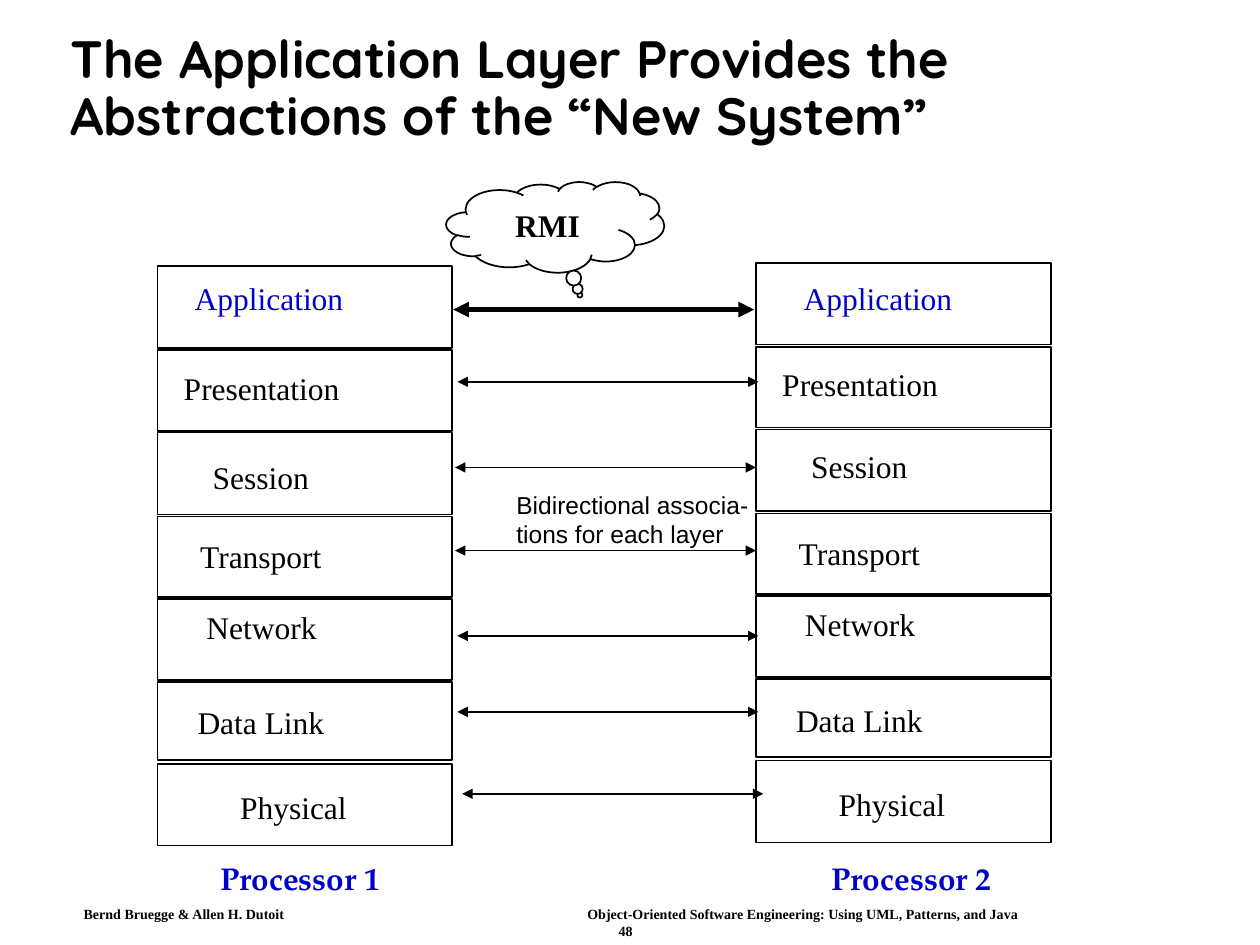
"""Build a slide showing two processors linked layer by layer."""
from collections import namedtuple

import pptx
import pptx.dml.color
import pptx.enum.shapes
import pptx.enum.text
import pptx.oxml.ns
import pptx.util
from lxml import etree

Pt = pptx.util.Pt
ALIGN = pptx.enum.text.PP_ALIGN
MIDDLE = pptx.enum.text.MSO_ANCHOR.MIDDLE
SHAPES = pptx.enum.shapes.MSO_SHAPE
COLORS = {"ink": "000000", "accent": "0000CC", "paper": "FFFFFF"}
SERIF = "Times New Roman"

STACK_LEFTS = (90, 432)
STACK_RISES = (0, 1.8)
LAYER_WIDTH = 168.5
LINK_LENGTH = 172
Layer = namedtuple("Layer", "name top height indents label_tops label_width link_left link_y color weight")
LAYERS = [
    Layer("Application", 151.9, 46.8, (14.2, 20.2), (156, 156), 160, 259, 176.9, "accent", 3),
    Layer("Presentation", 200, 46.2, (7.9, 7.9), (207.4, 205.2), 106, 261.4, 218.2, "ink", 1),
    Layer("Session", 247.2, 46.8, (24.5, 24.5), (258, 252), 72, 260, 267.1, "ink", 1),
    Layer("Transport", 295.2, 46.2, (17.3, 17.3), (303.1, 301.7), 87, 260, 314.6, "ink", 1),
    Layer("Network", 342.4, 46.2, (20.9, 20.9), (343.9, 342), 80, 261.4, 363.4, "ink", 1),
    Layer("Data Link", 389.9, 44.6, (15.8, 15.8), (398.2, 397.1), 90, 261.4, 406.8, "ink", 1),
    Layer("Physical", 436.4, 46.8, (40.1, 40.1), (446.6, 444.8), 78, 264.2, 453.6, "ink", 1),
]


def rgb(name):
    """Return the named colour."""
    return pptx.dml.color.RGBColor.from_string(COLORS[name])


def add_run(paragraph, words, size, font=SERIF, color="ink", bold=False):
    """Append one formatted run."""
    run = paragraph.add_run()
    run.text = words
    run.font.size = Pt(size)
    run.font.name = font
    run.font.bold = bold
    run.font.color.rgb = rgb(color)


def add_frame(slide, left, top, width, height):
    """Add an empty wrapping text box and return its text frame."""
    frame = slide.shapes.add_textbox(Pt(left), Pt(top), Pt(width), Pt(height)).text_frame
    frame.word_wrap = True
    return frame


def add_label(slide, words, left, top, width, size=18, height=29, **style):
    """Add a one-run text box and return its text frame."""
    frame = add_frame(slide, left, top, width, height)
    add_run(frame.paragraphs[0], words, size, **style)
    return frame


def add_outline(slide, kind, left, top, width, height, fill=None):
    """Add a preset shape with a thin dark outline."""
    shape = slide.shapes.add_shape(kind, Pt(left), Pt(top), Pt(width), Pt(height))
    shape.shadow.inherit = False
    if fill:
        shape.fill.solid()
        shape.fill.fore_color.rgb = rgb(fill)
    else:
        shape.fill.background()
    shape.line.color.rgb = rgb("ink")
    shape.line.width = Pt(1)
    return shape


def add_link(slide, left, y, weight):
    """Add a horizontal line with an arrowhead at each end."""
    link = slide.shapes.add_connector(
        pptx.enum.shapes.MSO_CONNECTOR.STRAIGHT, Pt(left), Pt(y), Pt(left + LINK_LENGTH), Pt(y))
    link.line.color.rgb = rgb("ink")
    link.line.width = Pt(weight)
    outline = link.line._get_or_add_ln()
    for end in ("a:headEnd", "a:tailEnd"):
        etree.SubElement(outline, pptx.oxml.ns.qn(end), type="triangle")
    etree.SubElement(link._element.spPr, pptx.oxml.ns.qn("a:effectLst"))


def add_layer(slide, layer):
    """Add one layer to both stacks and the link between them."""
    for left, rise, indent, label_top in zip(STACK_LEFTS, STACK_RISES, layer.indents, layer.label_tops):
        add_outline(slide, SHAPES.RECTANGLE, left, layer.top - rise, LAYER_WIDTH, layer.height)
        add_label(slide, layer.name, left + indent, label_top, layer.label_width, color=layer.color)
    add_link(slide, layer.link_left, layer.link_y, layer.weight)


def add_cloud(slide):
    """Add the thought cloud above the application link."""
    cloud = add_outline(slide, SHAPES.CLOUD_CALLOUT, 255, 103.9, 124.6, 51.8, "paper")
    cloud.adjustments[0] = 0.113
    cloud.adjustments[1] = 0.749
    frame = cloud.text_frame
    frame.word_wrap = False
    frame.vertical_anchor = MIDDLE
    frame.paragraphs[0].alignment = ALIGN.CENTER
    add_run(frame.paragraphs[0], "RMI", 18, bold=True)


def add_footer(slide):
    """Add the credit line with the page number below it."""
    frame = add_frame(slide, 42, 514.6, 631, 24)
    frame.margin_left = frame.margin_right = Pt(5.8)
    frame.margin_top = frame.margin_bottom = Pt(2.9)
    credit = frame.paragraphs[0]
    stops = etree.SubElement(credit._p.get_or_add_pPr(), pptx.oxml.ns.qn("a:tabLst"))
    etree.SubElement(stops, pptx.oxml.ns.qn("a:tab"), pos=str(Pt(287.8)), algn="l")
    add_run(credit, "Bernd Bruegge & Allen H. Dutoit\t", 8, bold=True)
    add_run(credit, "Object-Oriented Software Engineering: Using UML, Patterns, and Java", 8, bold=True)
    page = frame.add_paragraph()
    page.alignment = ALIGN.CENTER
    add_run(page, "48", 8, bold=True)


def main():
    """Build and save the slide."""
    deck = pptx.Presentation()
    deck.slide_width, deck.slide_height = Pt(720), Pt(540)
    slide = deck.slides.add_slide(deck.slide_layouts[6])
    add_footer(slide)
    title = add_label(slide, "The Application Layer Provides the Abstractions of the “New System”",
                      33.1, 17.5, 642, 30, 67.7, font="Quicksand", bold=True)
    title.vertical_anchor = MIDDLE
    title.paragraphs[0].line_spacing = 0.9
    for layer in LAYERS:
        add_layer(slide, layer)
    add_label(slide, "Bidirectional associa- tions for each layer",
              288, 276.5, 174.2, 14, 40.3, font="Arial")
    for number, left in enumerate((118.8, 468), 1):
        add_label(slide, f"Processor {number}", left, 487.4, 108,
                  font="TeX Gyre Pagella", color="accent", bold=True)
    add_cloud(slide)
    deck.save("out.pptx")


if __name__ == "__main__":
    main()
